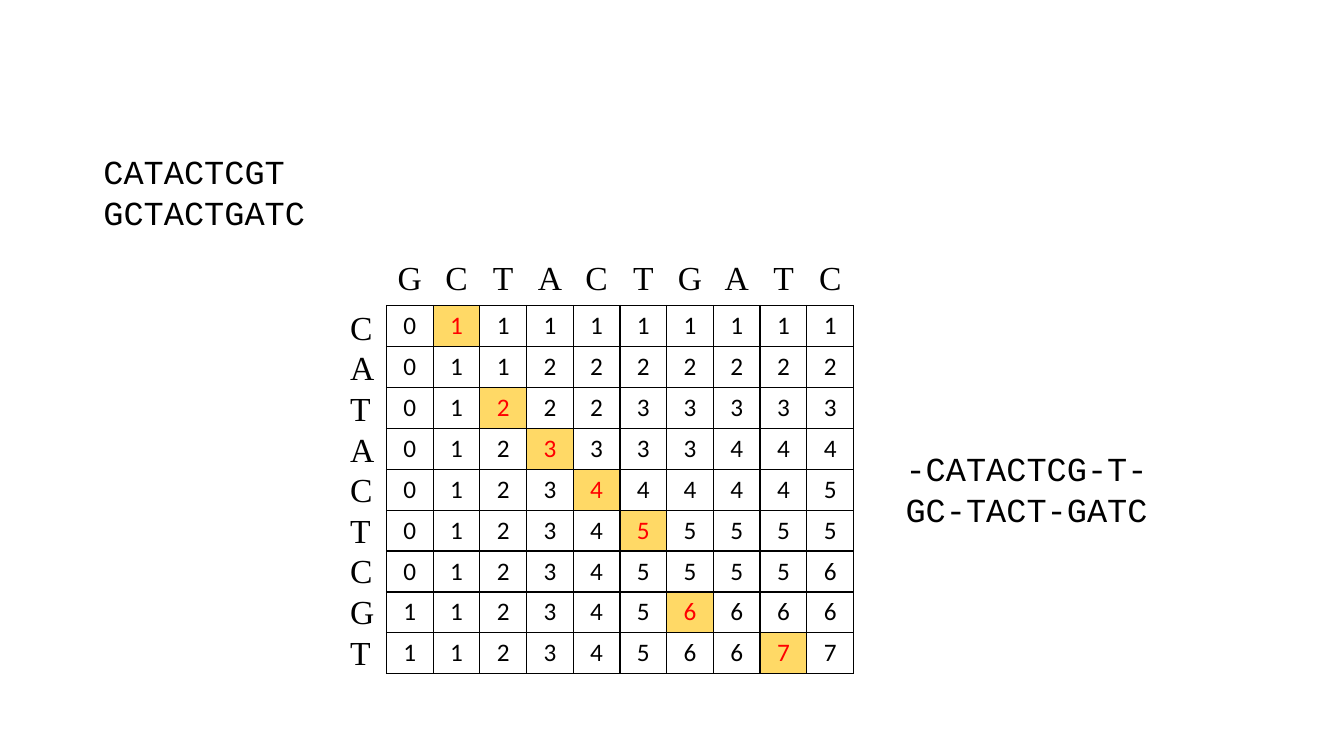
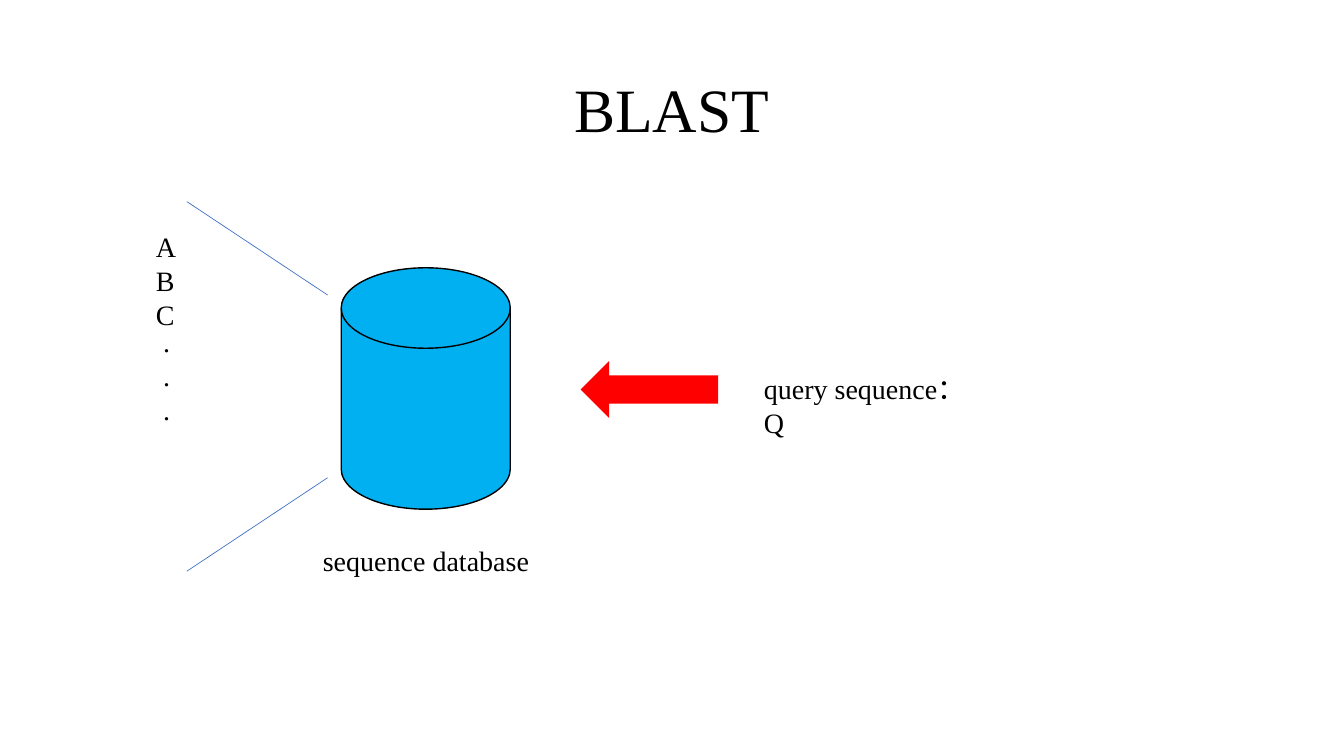
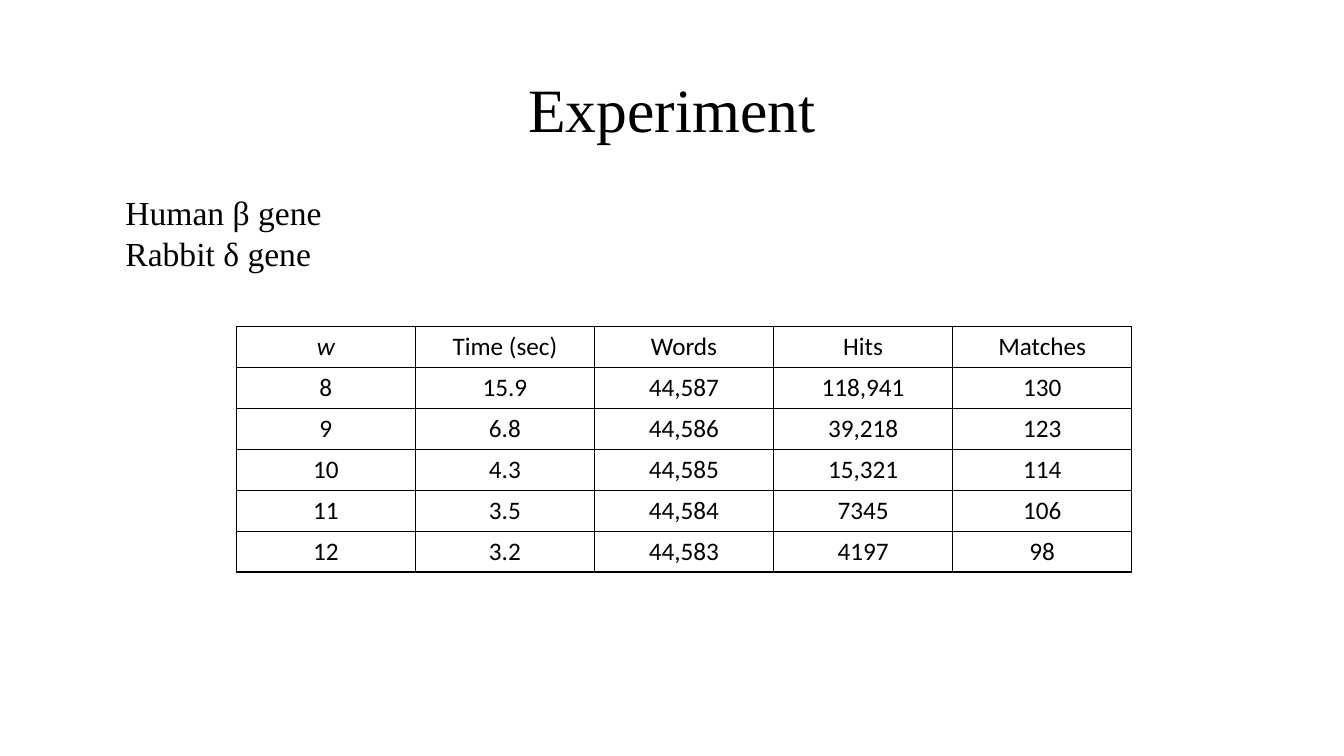
from lxml.etree import SubElement
from pptx import Presentation
from pptx.dml.color import RGBColor
from pptx.enum.shapes import MSO_CONNECTOR as Connector, MSO_SHAPE as Shape
from pptx.enum.text import MSO_ANCHOR as Anchor, PP_ALIGN as Align
from pptx.oxml.ns import qn
from pptx.util import Pt

EMU_PER_PX = 9525
SERIF, MONO, SANS = "Times New Roman", "Courier New", "Calibri"
BLACK, RED, GOLD = "000000", "FF0000", "FFD966"
DISK_BLUE, LINE_BLUE = "00B0F0", "4472C4"
TITLE_BOX = (88, 38, 1104, 139)
LINE_FACTOR = 1.21
ROW_HEIGHT = 39

FIRST, SECOND = "CATACTCGT", "GCTACTGATC"
SCORES = ["0111111111", "0112222222", "0122233333", "0123333444", "0123444445",
          "0123455555", "0123455556", "1123456666", "1123456677"]
MATCHES = {(0, 1), (2, 2), (3, 3), (4, 4), (5, 5), (7, 6), (8, 8)}
RESULTS = [
    ["w", "Time (sec)", "Words", "Hits", "Matches"],
    ["8", "15.9", "44,587", "118,941", "130"],
    ["9", "6.8", "44,586", "39,218", "123"],
    ["10", "4.3", "44,585", "15,321", "114"],
    ["11", "3.5", "44,584", "7345", "106"],
    ["12", "3.2", "44,583", "4197", "98"],
]


def px(length):
    return round(length * EMU_PER_PX)


def rgb(value):
    return RGBColor.from_string(value)


def write(frame, lines, size=24, font=SERIF, color=BLACK, align=Align.LEFT,
          spacing=None, italic=False):
    for i, line in enumerate(lines):
        paragraph = frame.paragraphs[0] if i == 0 else frame.add_paragraph()
        paragraph.alignment = align
        if spacing:
            paragraph.line_spacing = spacing
        run = paragraph.add_run()
        run.text = line
        run.font.size, run.font.name = Pt(size), font
        run.font.italic = italic
        run.font.color.rgb = rgb(color)


def add_text(slide, box, lines, size=24, wrap=False, anchor=Anchor.TOP, **style):
    frame = slide.shapes.add_textbox(*map(px, box)).text_frame
    frame.word_wrap, frame.vertical_anchor = wrap, anchor
    style.setdefault("spacing", Pt(round(size * LINE_FACTOR, 1)))
    write(frame, lines, size=size, **style)
    return frame


def add_title(slide, title):
    add_text(slide, TITLE_BOX, [title], size=44, wrap=True, anchor=Anchor.MIDDLE,
             align=Align.CENTER, spacing=0.9)


def add_borders(cell):
    properties = cell._tc.get_or_add_tcPr()
    for side in ("a:lnL", "a:lnR", "a:lnT", "a:lnB"):
        border = SubElement(properties, qn(side), w=str(Pt(1)))
        SubElement(SubElement(border, qn("a:solidFill")), qn("a:srgbClr"), val=BLACK)


def add_grid(slide, left, top, width, rows, marked=(), italics=()):
    """Bordered table; marked cells are gold with red text."""
    columns = len(rows[0])
    table = slide.shapes.add_table(len(rows), columns, px(left), px(top), px(width),
                                   px(ROW_HEIGHT * len(rows))).table
    table.first_row = table.horz_banding = False
    for column in table.columns:
        column.width = px(width / columns)
    for r, values in enumerate(rows):
        table.rows[r].height = px(ROW_HEIGHT)
        for c, value in enumerate(values):
            cell, is_marked = table.cell(r, c), (r, c) in marked
            add_borders(cell)
            if is_marked:
                cell.fill.solid()
                cell.fill.fore_color.rgb = rgb(GOLD)
            else:
                cell.fill.background()
            write(cell.text_frame, [value], size=18, font=SANS, align=Align.CENTER,
                  color=RED if is_marked else BLACK, italic=(r, c) in italics)


def add_column_letters(slide, left, top, width, letters):
    """Letters on centred tab stops, one over each column."""
    frame = add_text(slide, (left, top, width, 48),
                     ["".join("\t" + letter for letter in letters)], wrap=True)
    frame.margin_left = frame.margin_right = 0
    stops = SubElement(frame.paragraphs[0]._p.get_or_add_pPr(), qn("a:tabLst"))
    pitch = width / len(letters)
    for i in range(len(letters)):
        SubElement(stops, qn("a:tab"), pos=str(px((i + 0.5) * pitch)), algn="ctr")


def add_score_matrix(slide, left, top, width):
    add_grid(slide, left, top, width, SCORES, marked=MATCHES)
    add_text(slide, (left - 44, top - 4, 43, 359), list(FIRST))
    add_column_letters(slide, left, top - 51, width, SECOND)


def add_figure(slide, kind, box, fill, outline=None):
    figure = slide.shapes.add_shape(kind, *map(px, box))
    figure.shadow.inherit = False
    figure.fill.solid()
    figure.fill.fore_color.rgb = rgb(fill)
    if outline:
        figure.line.color.rgb = rgb(outline)
        figure.line.width = Pt(1)
    else:
        figure.line.fill.background()
    return figure


def add_line(slide, *ends):
    line = slide.shapes.add_connector(Connector.STRAIGHT, *map(px, ends))
    line.line.color.rgb = rgb(LINE_BLUE)
    line.line.width = Pt(0.5)
    SubElement(line._element.spPr, qn("a:effectLst"))


def add_database(slide, left, top):
    """Disk with its caption and the fanned-out list of sequences."""
    add_figure(slide, Shape.FLOWCHART_MAGNETIC_DISK, (left, top, 161, 230),
               DISK_BLUE, BLACK)
    add_text(slide, (left - 27, top + 258, 217, 42), ["sequence database"], size=20)
    for near, far in ((26, -63), (200, 289)):
        add_line(slide, left - 13, top + near, left - 147, top + far)
    add_text(slide, (left - 186, top - 41, 39, 107), list("ABC"), size=20)
    add_text(slide, (left - 179, top + 49, 26, 107), list("..."), size=20)


def alignment_slide(slide):
    add_text(slide, (89, 139, 213, 87), [FIRST, SECOND], font=MONO)
    add_score_matrix(slide, 368, 291, 445)
    add_text(slide, (853, 422, 252, 87), ["-CATACTCG-T-", "GC-TACT-GATC"], font=MONO)


def blast_slide(slide):
    add_title(slide, "BLAST")
    add_database(slide, 325, 255)
    add_text(slide, (718, 349, 220, 42), ["query sequence：Q"], size=20, wrap=True)
    arrow = add_figure(slide, Shape.RIGHT_ARROW, (553, 344, 131, 54), RED)
    arrow.rotation = 180


def experiment_slide(slide):
    add_title(slide, "Experiment")
    add_grid(slide, 225, 311, 853, RESULTS, italics={(0, 0)})
    add_text(slide, (110, 178, 208, 87), ["Human β gene", "Rabbit δ gene"])


def main():
    deck = Presentation()
    deck.slide_width, deck.slide_height = px(1280), px(720)
    for build in (alignment_slide, blast_slide, experiment_slide):
        build(deck.slides.add_slide(deck.slide_layouts[6]))
    deck.save("out.pptx")


if __name__ == "__main__":
    main()
